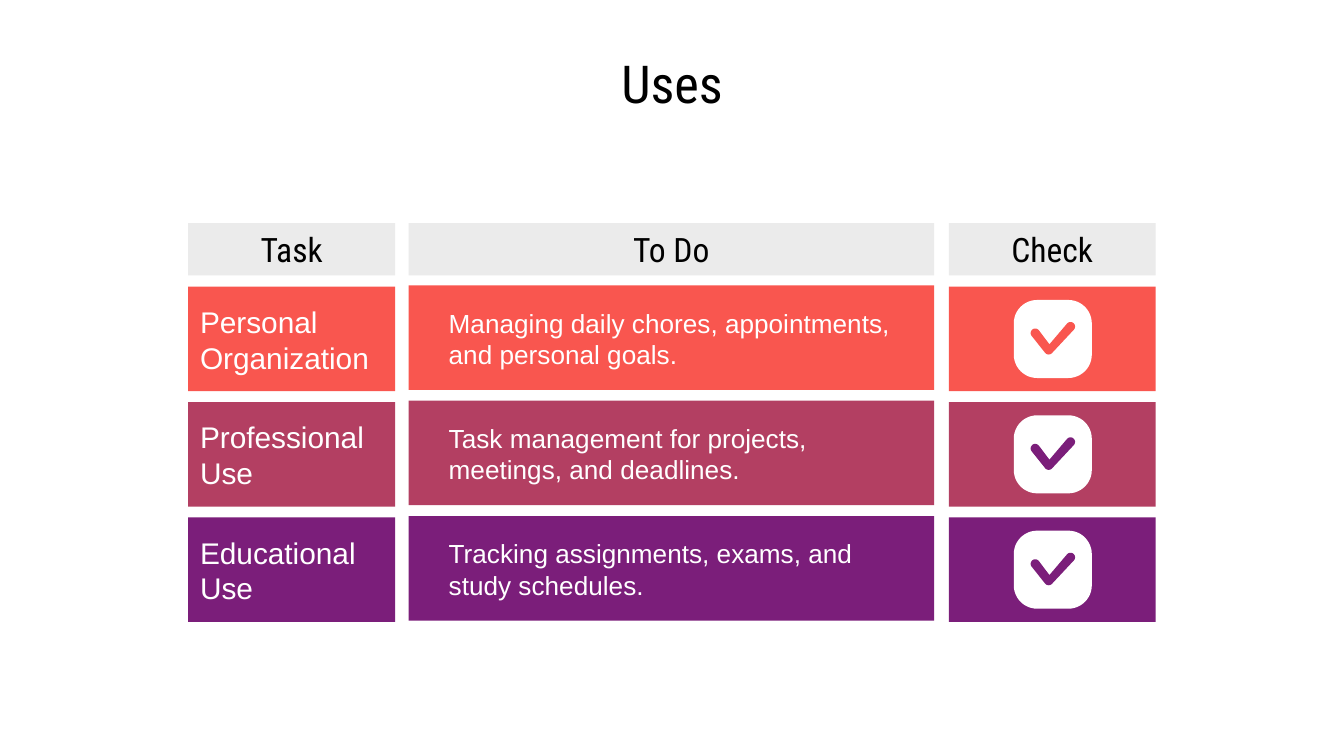
from math import cos, sin, radians
from pptx import Presentation as Deck
from pptx.util import Pt
from pptx.dml.color import RGBColor as Color
from pptx.enum.shapes import MSO_SHAPE as Kind
from pptx.enum.text import PP_ALIGN as Align, MSO_ANCHOR as Anchor

BLACK = Color(0x00, 0x00, 0x00)
WHITE = Color(0xFF, 0xFF, 0xFF)
GREY = Color(0xEB, 0xEB, 0xEB)
CORAL = Color(0xF9, 0x56, 0x4F)
ROSE = Color(0xB3, 0x3F, 0x62)
PLUM = Color(0x7B, 0x1E, 0x7A)

TITLE = {"name": "Roboto Condensed", "size": Pt(28)}
HEAD = {"name": "Roboto Condensed", "size": Pt(18)}
LABEL = {"name": "Arial", "size": Pt(16)}
BODY = {"name": "Arial", "size": Pt(14)}

COLS = [("Task", 100.8, 110.9), ("To Do", 218.9, 281.5), ("Check", 508.3, 110.9)]
ROWS = [
    ("Personal Organization",
     "Managing daily chores, appointments, and personal goals.", CORAL, CORAL),
    ("Professional Use",
     "Task management for projects, meetings, and deadlines.", ROSE, PLUM),
    ("Educational Use",
     "Tracking assignments, exams, and study schedules.", PLUM, PLUM),
]
HEAD_TOP, HEAD_HIGH = 119.5, 28.1
ROW_TOP, ROW_HIGH, STEP = 153.6, 56, 61.8
ARCS = [(2.4, 6, -39, -219), (9.6, 15, 141, 43), (21.3, 2.5, 43, -137)]
NOTCH = (10, 12)
ROUND = 2.45
UNIT = 100


def paint(shape, color):
    shape.shadow.inherit = False
    shape.fill.solid()
    shape.fill.fore_color.rgb = color
    shape.line.fill.background()


def add_box(slide, kind, area, color):
    box = slide.shapes.add_shape(kind, *map(Pt, area))
    paint(box, color)
    return box


def add_text(slide, text, area, font, color, align):
    frame = slide.shapes.add_textbox(*map(Pt, area)).text_frame
    pad = Pt(7.2)
    form = {"word_wrap": True, "vertical_anchor": Anchor.MIDDLE,
            "margin_left": pad, "margin_right": pad,
            "margin_top": pad, "margin_bottom": pad}
    for key, value in form.items():
        setattr(frame, key, value)
    para = frame.paragraphs[0]
    para.alignment = align
    run = para.add_run()
    run.text = text
    for key, value in font.items():
        setattr(run.font, key, value)
    run.font.color.rgb = color


def add_tick(slide, left, top, color):
    dots = []
    for x, y, start, end in ARCS:
        for part in range(13):
            turn = radians(start + (end - start) * part / 12)
            dots.append((x + ROUND * cos(turn), y + ROUND * sin(turn)))
    dots.append(NOTCH)
    dots = [((left + x) * UNIT, (top + y) * UNIT) for x, y in dots]
    pen = slide.shapes.build_freeform(*dots[0], scale=Pt(1) / UNIT)
    pen.add_line_segments(dots[1:], close=True)
    paint(pen.convert_to_shape(), color)


def add_head(slide):
    for text, left, width in COLS:
        area = (left, HEAD_TOP, width, HEAD_HIGH)
        add_box(slide, Kind.RECTANGLE, area, GREY)
        add_text(slide, text, area, HEAD, BLACK, Align.CENTER)


def add_row(slide, top, label, body, fill, mark):
    for rise, (_, left, width) in zip((0, 0.7, 0), COLS):
        add_box(slide, Kind.RECTANGLE, (left, top - rise, width, ROW_HIGH), fill)
    add_text(slide, label, (100.1, top + 0.5, 118.8, 55.4), LABEL, WHITE, Align.LEFT)
    add_text(slide, body, (233.3, top + 6.8, 253.4, 41.8), BODY, WHITE, Align.LEFT)
    tile = add_box(slide, Kind.ROUNDED_RECTANGLE, (543.1, top + 7.1, 41.8, 41.8), WHITE)
    tile.adjustments[0] = 0.3
    add_tick(slide, 552.2, top + 18.9, mark)


def main():
    deck = Deck()
    deck.slide_width, deck.slide_height = Pt(720), Pt(405)
    slide = deck.slides.add_slide(deck.slide_layouts[6])
    add_text(slide, "Uses", (56, 25.4, 608, 38), TITLE, BLACK, Align.CENTER)
    add_head(slide)
    for place, row in enumerate(ROWS):
        add_row(slide, ROW_TOP + place * STEP, *row)
    deck.save("out.pptx")


if __name__ == "__main__":
    main()
